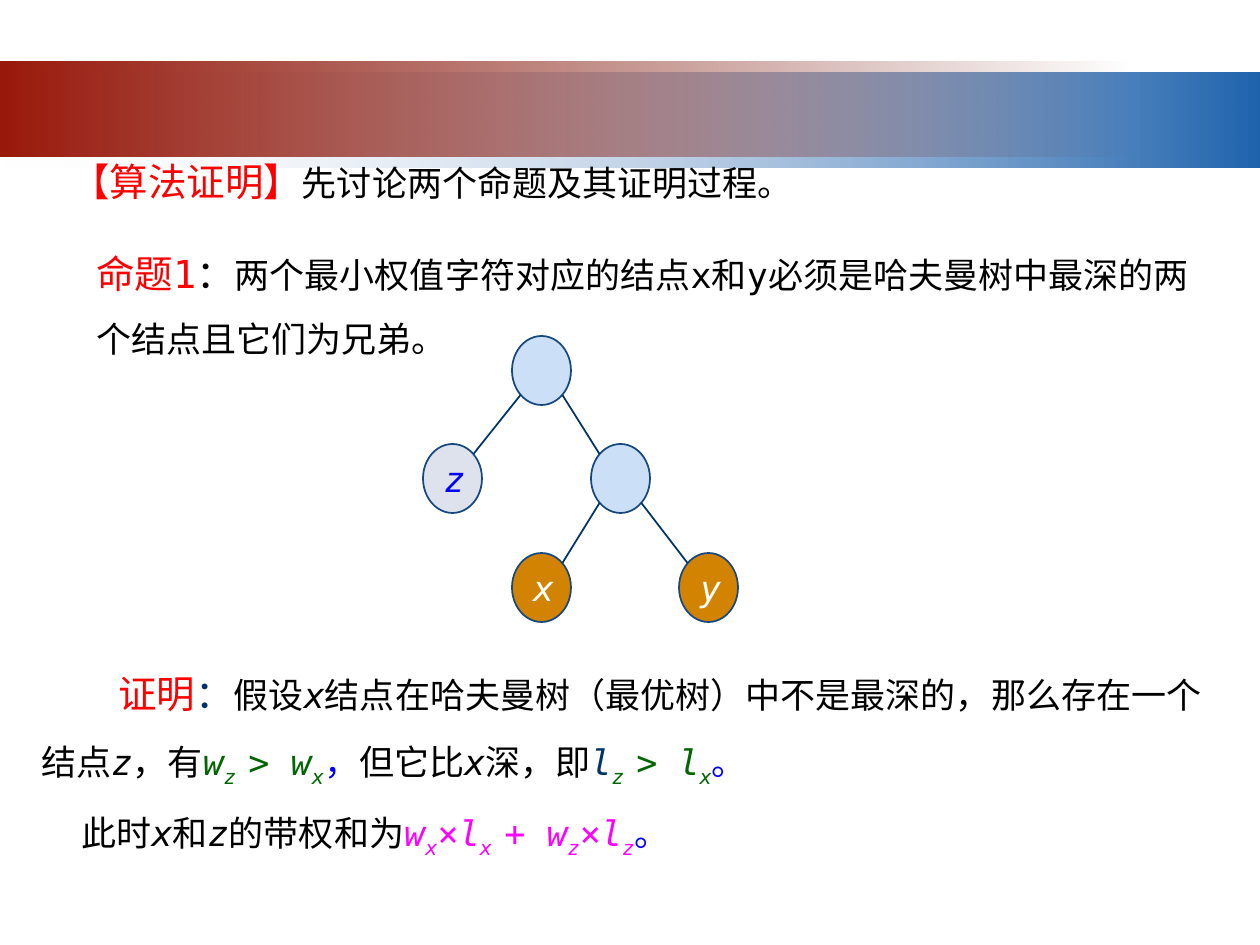
from lxml import etree
from pptx import Presentation, util as u
from pptx.dml.color import RGBColor
from pptx.enum import shapes, text
from pptx.oxml.ns import qn

PX = 914400 / 126
FONT = "DejaVu Sans Mono"

BLACK = RGBColor(0x00, 0x00, 0x00)
WHITE = RGBColor(0xFF, 0xFF, 0xFF)
RED = RGBColor(0xFF, 0x00, 0x00)
BLUE = RGBColor(0x00, 0x00, 0xFF)
GREEN = RGBColor(0x00, 0x66, 0x00)
MAGENTA = RGBColor(0xFF, 0x00, 0xFF)
NAVY = RGBColor(0x00, 0x33, 0x66)
OUTLINE = RGBColor(0x17, 0x49, 0x80)
PALE_BLUE = RGBColor(0xCB, 0xE0, 0xF6)
PALE_GRAY = RGBColor(0xDD, 0xE2, 0xED)
ORANGE = RGBColor(0xD2, 0x83, 0x02)
MIST = RGBColor(0xF1, 0xF2, 0xF7)
BAND_BLUE = RGBColor(0x1F, 0x63, 0xAD)
BAND_RED = RGBColor(0x99, 0x19, 0x0B)
DARK_RED = RGBColor(0x6D, 0x12, 0x08)

NODE_W, NODE_H = 59, 69
DIAGONAL = 0.5 ** 0.5
PLAIN, ITALIC, SUB = "plain", "italic", "sub"


def emu(*lengths):
    return [u.Emu(round(length * PX)) for length in lengths]


def product(first, second, color):
    """Spans of a weight times a level, each with its subscript."""
    return [("w", color, ITALIC), (first, color, SUB), ("×", color, PLAIN),
            ("l", color, ITALIC), (second, color, SUB)]


def greater(letter, first_color):
    """Spans of the comparison of a quantity at z and at x."""
    return [(letter, first_color, ITALIC), ("z ", GREEN, SUB), ("> ", GREEN, PLAIN),
            (letter, GREEN, ITALIC), ("x", GREEN, SUB)]


class Page:
    def __init__(self, deck):
        self.slide = deck.slides.add_slide(deck.slide_layouts[6])
        self.shapes = self.slide.shapes

    def band(self, left, top, width, height, stops):
        """Horizontal gradient; each stop is a colour and whether it is clear."""
        box = self.shapes.add_shape(shapes.MSO_SHAPE.RECTANGLE, *emu(left, top, width, height))
        box.shadow.inherit = False
        box.line.fill.background()
        box.fill.gradient()
        box.fill.gradient_angle = 0
        for stop, (color, clear) in zip(box.fill.gradient_stops, stops):
            stop.color.rgb = color
        gradient = box._element.spPr.find(qn("a:gradFill"))
        for item, (color, clear) in zip(gradient.iter(qn("a:srgbClr")), stops):
            if clear:
                etree.SubElement(item, qn("a:alpha")).set("val", "0")

    def span(self, para, words, color, style=PLAIN, size=20):
        span = para.add_run()
        span.text = words
        values = {"name": FONT, "size": u.Pt(size), "italic": style != PLAIN}
        for name, value in values.items():
            setattr(span.font, name, value)
        span.font.color.rgb = color
        if style == SUB:
            span.font._element.set("baseline", "-25000")

    def text(self, left, top, width, height, paragraphs, spacing=1.0):
        """Each paragraph is a first-line indent and a list of spans."""
        box = self.shapes.add_textbox(*emu(left, top, width, height))
        frame = box.text_frame
        frame.word_wrap = True
        for number, (indent, spans) in enumerate(paragraphs):
            para = frame.add_paragraph() if number else frame.paragraphs[0]
            para.line_spacing = spacing
            if indent:
                properties = para._p.get_or_add_pPr()
                properties.set("marL", "0")
                properties.set("indent", str(emu(indent)[0]))
            for span in spans:
                self.span(para, *span)

    def node(self, group, left, top, fill, label="", color=WHITE):
        node = group.shapes.add_shape(shapes.MSO_SHAPE.OVAL, *emu(left, top, NODE_W, NODE_H))
        node.shadow.inherit = False
        node.fill.solid()
        node.fill.fore_color.rgb = fill
        node.line.color.rgb = OUTLINE
        node.line.width = u.Pt(1)
        if label:
            frame = node.text_frame
            frame.vertical_anchor = text.MSO_ANCHOR.MIDDLE
            frame.paragraphs[0].alignment = text.PP_ALIGN.CENTER
            self.span(frame.paragraphs[0], label, color, ITALIC)

    def edge(self, group, parent, child):
        """Line between the facing diagonal points of two nodes."""
        side = 1 if child[0] > parent[0] else -1
        reach_x, reach_y = side * DIAGONAL * NODE_W / 2, DIAGONAL * NODE_H / 2
        ends = []
        for (left, top), way in ((parent, 1), (child, -1)):
            ends += [left + NODE_W / 2 + way * reach_x, top + NODE_H / 2 + way * reach_y]
        line = group.shapes.add_connector(shapes.MSO_CONNECTOR.STRAIGHT, *emu(*ends))
        line.line.color.rgb = NAVY
        line.line.width = u.Pt(1)
        etree.SubElement(line._element.spPr, qn("a:effectLst"))

    def tree(self, nodes, edges):
        group = self.shapes.add_group_shape()
        for place, look in nodes.values():
            self.node(group, *place, *look)
        for parent, child in edges:
            self.edge(group, nodes[parent][0], nodes[child][0])


def main():
    deck = Presentation()
    deck.slide_width, deck.slide_height = emu(1260, 945)
    page = Page(deck)

    page.band(0, 73, 1260, 95, [(MIST, True), (BAND_BLUE, False)])
    page.band(0, 62, 1134, 95, [(BAND_RED, False), (DARK_RED, True)])

    page.text(59, 152, 1052, 59, [
        (0, [("【算法证明】", RED, PLAIN, 22), ("先讨论两个命题及其证明过程。", BLACK)])])
    page.text(84, 221, 1131, 139, [
        (0, [("命题1", RED, PLAIN, 22), ("：", BLACK, PLAIN, 22),
             ("两个最小权值字符对应的结点x和y必须是哈夫曼树中最深的两个结点且它们为兄弟。", BLACK)])],
        spacing=1.5)

    x, z = ("x", BLACK, ITALIC), ("z", BLACK, ITALIC)
    assumption = [
        ("证明", RED, PLAIN, 22), ("：", NAVY, PLAIN, 22), ("假设", BLACK), x,
        ("结点在哈夫曼树（最优树）中不是最深的，那么存在一个结点", BLACK), z, ("，有", BLACK),
        *greater("w", GREEN), ("，", BLUE), ("但它比", BLACK), x, ("深，即", BLACK),
        *greater("l", NAVY), ("。", BLUE)]
    weights = [
        ("此时", BLACK), x, ("和", BLACK), z, ("的带权和为", BLACK),
        *product("x", "x ", MAGENTA), ("+ ", MAGENTA), *product("z", "z", MAGENTA), ("。", BLUE)]
    page.text(29, 641, 1191, 210, [(77, assumption), (40, weights)], spacing=1.5)

    rows = [336, 444, 553]
    page.tree(
        {"root": ((512, rows[0]), (PALE_BLUE,)),
         "z": ((423, rows[1]), (PALE_GRAY, "z", BLUE)),
         "inner": ((591, rows[1]), (PALE_BLUE,)),
         "x": ((512, rows[2]), (ORANGE, "x")),
         "y": ((679, rows[2]), (ORANGE, "y"))},
        [("root", "z"), ("root", "inner"), ("inner", "x"), ("inner", "y")])

    deck.save("out.pptx")


if __name__ == "__main__":
    main()
